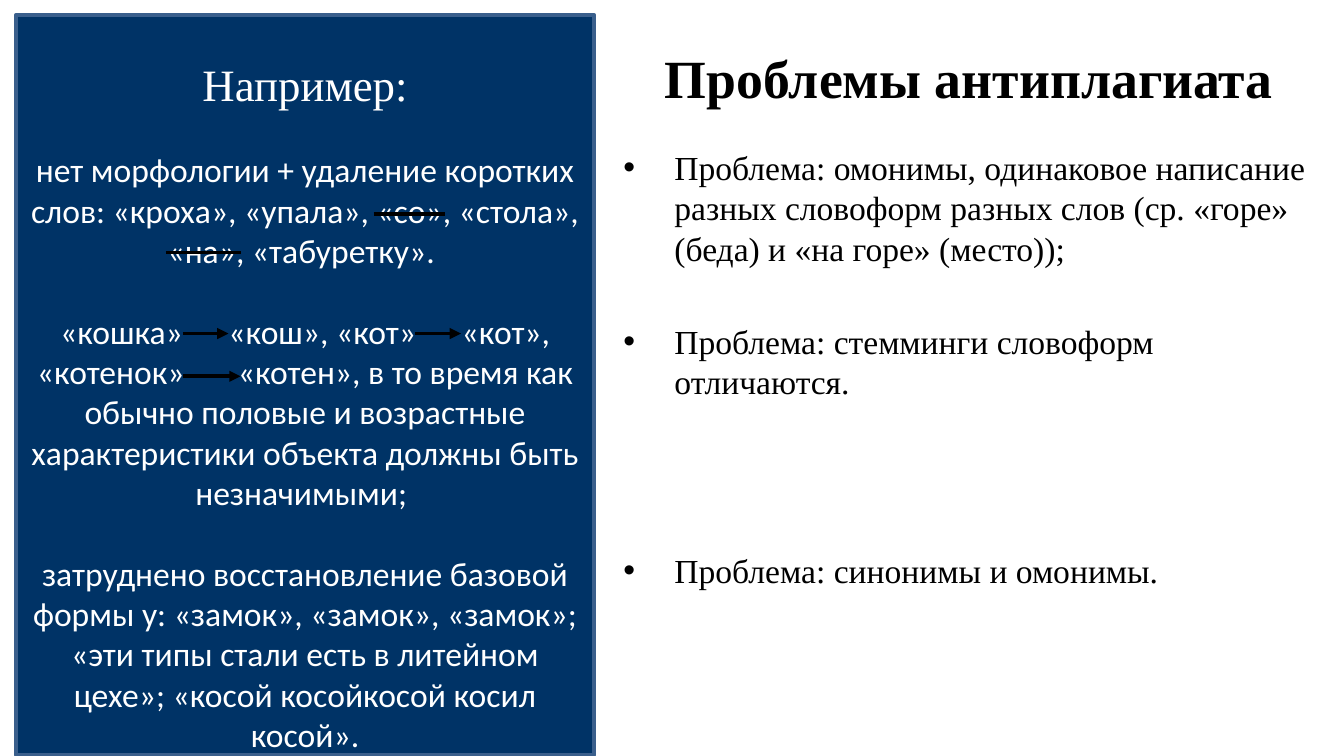
"""Build a slide on plagiarism-checker problems: examples on the left, problems on the right."""
from dataclasses import dataclass
from typing import NamedTuple

from lxml import etree
from pptx import Presentation
from pptx import util as u
from pptx.dml.color import RGBColor
from pptx.enum import shapes, text
from pptx.oxml.ns import qn

CELL = u.Inches(0.1)
COLUMNS, ROWS = 100, 56.25
WIDE_GAP = "\t"


@dataclass(frozen=True)
class Theme:
    """Colours, fonts and sizes in points."""
    panel: RGBColor = RGBColor(0x00, 0x33, 0x66)
    border: RGBColor = RGBColor(0x3A, 0x5F, 0x8C)
    dark: RGBColor = RGBColor(0, 0, 0)
    light: RGBColor = RGBColor(255, 255, 255)
    serif: str = "Times New Roman"
    sans: str = "Calibri"
    title: float = 28.8
    heading: float = 24
    body: float = 18
    leading: float = 21.6
    stroke: float = 2


THEME = Theme()


class Box(NamedTuple):
    """A frame in grid columns and rows."""
    left: float
    top: float
    width: float
    height: float


class Style(NamedTuple):
    """The look of a run of text."""
    font: str
    size: float
    color: RGBColor
    bold: bool = False


class Passage(NamedTuple):
    """A paragraph with the space before it and the line height, in points."""
    words: str
    style: Style
    before: float = 0
    leading: float = THEME.leading


class Stroke(NamedTuple):
    """A horizontal line in grid columns and rows."""
    start: float
    end: float
    row: float
    arrow: bool = False


HEADING = Style(THEME.serif, THEME.heading, THEME.light)
EXAMPLE = Style(THEME.sans, THEME.body, THEME.light)
PROBLEM = Style(THEME.serif, THEME.body, THEME.dark)
TITLE = Passage("Проблемы антиплагиата",
                Style(THEME.serif, THEME.title, THEME.dark, True), leading=34)

EXAMPLES = [
    Passage("Например:", HEADING, leading=29),
    Passage("нет морфологии + удаление коротких слов: «кроха», «упала», «со», "
            "«стола», «на», «табуретку». ", EXAMPLE, 20.8),
    Passage(f"«кошка»{WIDE_GAP}«кош», «кот»{WIDE_GAP}«кот», «котенок»{WIDE_GAP}«котен», "
            "в то время как обычно половые и возрастные характеристики объекта "
            "должны быть незначимыми; ", EXAMPLE, THEME.leading),
    Passage("затруднено восстановление базовой формы у: «замок», «замок», «замок»; "
            "«эти типы стали есть в литейном цехе»; «косой косойкосой косил косой».",
            EXAMPLE, THEME.leading),
]
PROBLEMS = [
    Passage("Проблема: омонимы, одинаковое написание разных словоформ разных слов "
            "(ср. «горе» (беда) и «на горе» (место));", PROBLEM),
    Passage("Проблема: стемминги словоформ отличаются.", PROBLEM, 28.4),
    Passage("Проблема: синонимы и омонимы.", PROBLEM, 79.5),
]
STROKES = [
    Stroke(27.8, 33.1, 15.93),
    Stroke(12.35, 17.9, 18.78),
    Stroke(13.6, 17, 24.82, True),
    Stroke(30.9, 34.3, 24.82, True),
    Stroke(13.6, 17.9, 28, True),
]


def grid(*values: float) -> list[int]:
    """Turn grid units into lengths."""
    return [round(value * CELL) for value in values]


def add_bullet(paragraph) -> None:
    """Give a paragraph a hanging bullet."""
    properties = paragraph._p.get_or_add_pPr()
    indent = u.Inches(0.38)
    properties.set("marL", str(indent))
    properties.set("indent", str(-indent))
    font = etree.SubElement(properties, qn("a:buFont"))
    font.set("typeface", "Arial")
    etree.SubElement(properties, qn("a:buChar")).set("char", "•")


def add_run(paragraph, words: str, style: Style):
    """Append a formatted run to a paragraph."""
    run = paragraph.add_run()
    run.text = words
    run.font.name, run.font.size = style.font, u.Pt(style.size)
    run.font.bold = style.bold
    run.font.color.rgb = style.color
    return run


def write(frame, passages: list[Passage], align, anchor, inset: float = 0.05,
          bullets: bool = False) -> None:
    """Fill a text frame, widening a single space wherever an arrow needs room."""
    frame.word_wrap = True
    frame.vertical_anchor = anchor
    frame.margin_top = u.Inches(inset)
    for index, passage in enumerate(passages):
        paragraph = frame.add_paragraph() if index else frame.paragraphs[0]
        if bullets:
            add_bullet(paragraph)
        paragraph.alignment = align
        paragraph.line_spacing = u.Pt(passage.leading)
        paragraph.space_before = u.Pt(passage.before)
        for part, words in enumerate(passage.words.split(WIDE_GAP)):
            if part:
                gap = add_run(paragraph, " ", passage.style)
                gap.font._element.set("spc", "2440" if part == 3 else "2030")
            add_run(paragraph, words, passage.style)


def add_text(slide, box: Box, passages: list[Passage], align, anchor, bullets=False) -> None:
    """Add a text box."""
    shape = slide.shapes.add_textbox(*grid(*box))
    write(shape.text_frame, passages, align, anchor, bullets=bullets)


def add_panel(slide, box: Box, passages: list[Passage]) -> None:
    """Add the filled panel of examples."""
    shape = slide.shapes.add_shape(shapes.MSO_SHAPE.RECTANGLE, *grid(*box))
    shape.shadow.inherit = False
    shape.fill.solid()
    shape.fill.fore_color.rgb = THEME.panel
    shape.line.color.rgb = THEME.border
    shape.line.width = u.Pt(THEME.stroke)
    write(shape.text_frame, passages, text.PP_ALIGN.CENTER, text.MSO_ANCHOR.TOP, 0.31)


def add_stroke(slide, stroke: Stroke) -> None:
    """Add a strike-through line or an arrow."""
    ends = grid(stroke.start, stroke.row, stroke.end, stroke.row)
    connector = slide.shapes.add_connector(shapes.MSO_CONNECTOR.STRAIGHT, *ends)
    connector.line.color.rgb = THEME.dark
    connector.line.width = u.Pt(THEME.stroke)
    if stroke.arrow:
        line = connector.line._get_or_add_ln()
        etree.SubElement(line, qn("a:tailEnd")).set("type", "triangle")
    etree.SubElement(connector._element.spPr, qn("a:effectLst"))


def main() -> None:
    """Build and save the slide."""
    presentation = Presentation()
    presentation.slide_width, presentation.slide_height = grid(COLUMNS, ROWS)
    slide = presentation.slides.add_slide(presentation.slide_layouts[6])
    add_text(slide, Box(47.3, 1.05, 49.6, 9.4), [TITLE],
             text.PP_ALIGN.CENTER, text.MSO_ANCHOR.MIDDLE)
    add_text(slide, Box(45.4, 10.45, 53.3, 44.3), PROBLEMS,
             text.PP_ALIGN.LEFT, text.MSO_ANCHOR.TOP, bullets=True)
    add_panel(slide, Box(1.2, 1.1, 43, 55.1), EXAMPLES)
    for stroke in STROKES:
        add_stroke(slide, stroke)
    presentation.save("out.pptx")


if __name__ == "__main__":
    main()
